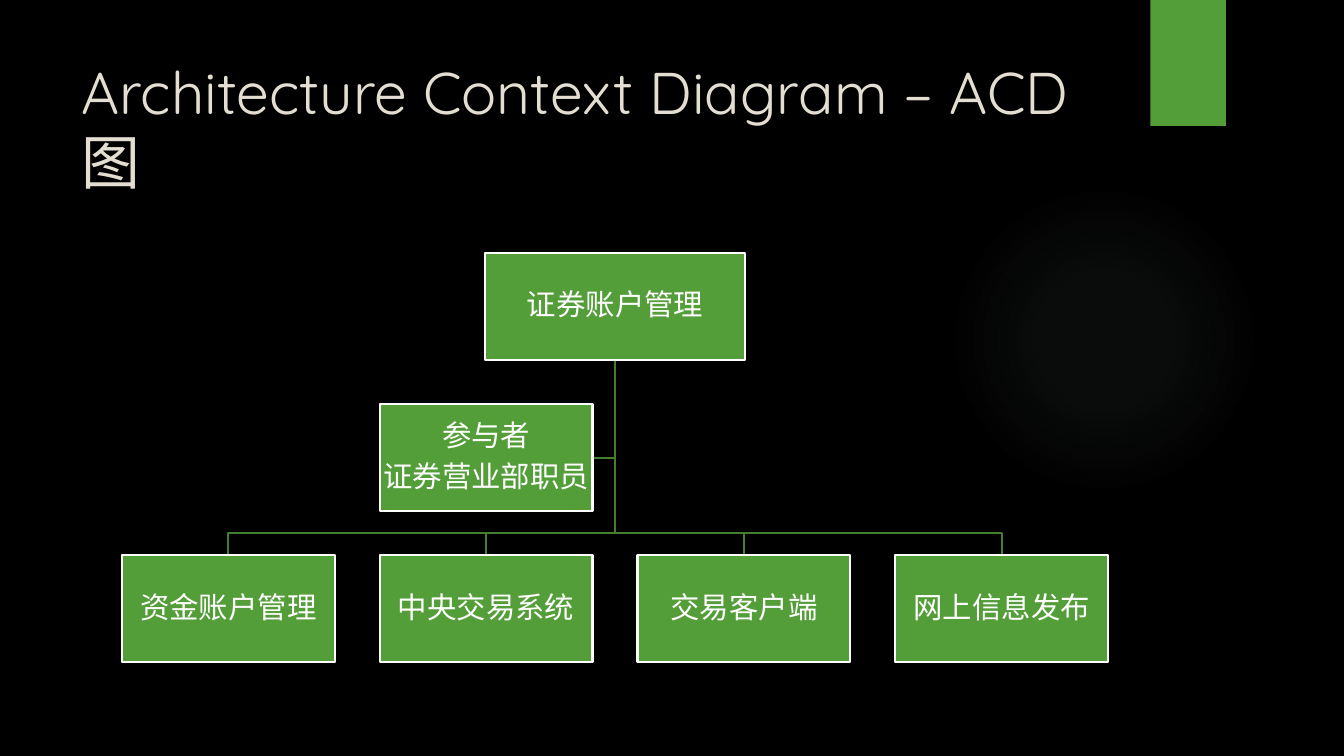
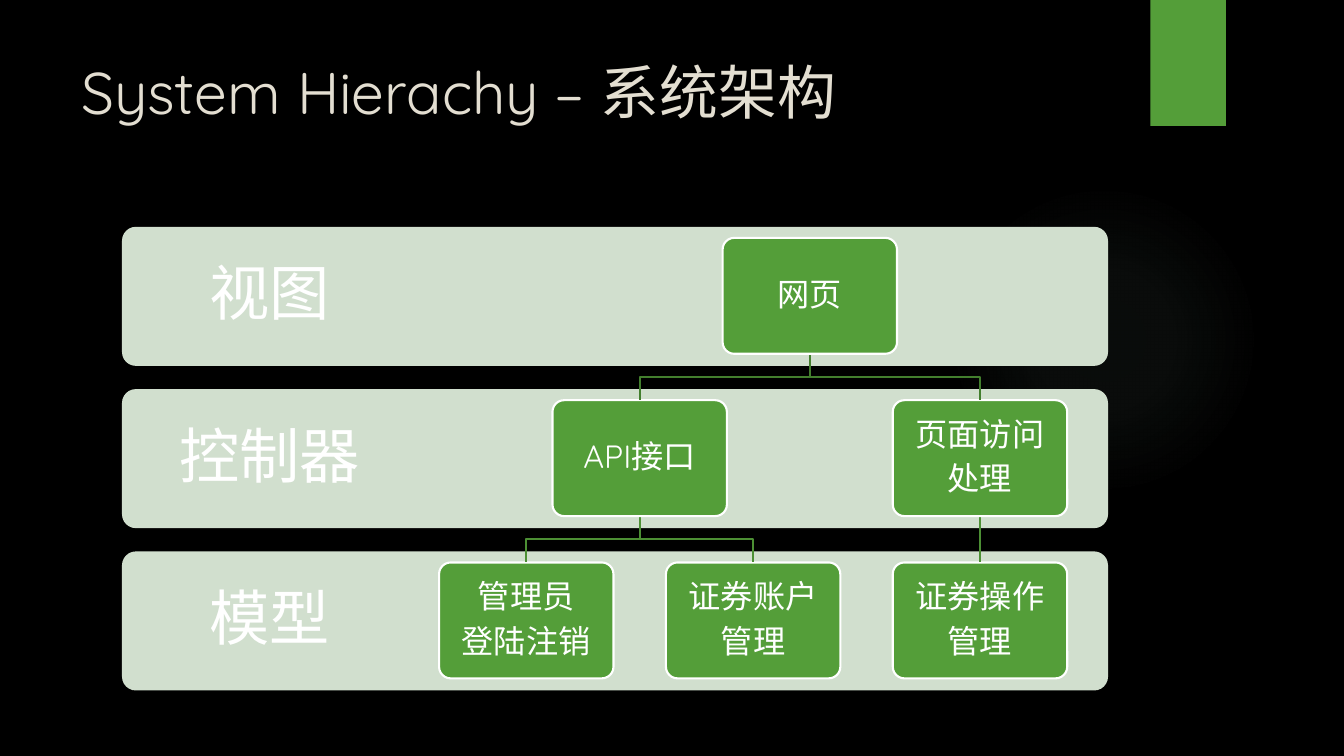
from itertools import pairwise
from pptx import Presentation
from pptx.dml.color import RGBColor
from pptx.enum.shapes import MSO_CONNECTOR, MSO_SHAPE
from pptx.enum.text import MSO_ANCHOR, PP_ALIGN
from pptx.oxml import parse_xml
from pptx.oxml.ns import nsdecls
from pptx.util import Inches, Pt

# Content
CONTEXT_TITLE = "Architecture Context Diagram – ACD图"
CONTEXT_ROOT = "证券账户管理"
CONTEXT_ACTOR = "参与者\n证券营业部职员"
CONTEXT_SYSTEMS = ["资金账户管理", "中央交易系统", "交易客户端", "网上信息发布"]

HIERARCHY_TITLE = "System Hierachy – 系统架构"
LAYERS = ["视图", "控制器", "模型"]
HIERARCHY = ("网页", [
    ("API接口", [("管理员\n登陆注销", []), ("证券账户\n管理", [])]),
    ("页面访问\n处理", [("证券操作\n管理", [])]),
])

# Shared style
FONT = "Quicksand"
COLORS = {
    "background": "000000", "title": "E3DED1", "accent": "549E39",
    "text": "FFFFFF", "band": "D1DFCE", "glow": "87A896",
    "line": "437F2E", "lower_line": "4C8F34",
}
GLOW_STOPS = [(0, 7), (36, 6), (69, 0)]  # position and opacity, percent
LEFT, WIDTH = 1.21, 9.78                 # diagram area, inches


def rgb(name):
    return RGBColor.from_string(COLORS[name])


def box(*lengths):
    return [Inches(length) for length in lengths]


def write(shape, text, size, color="text", inset=0.01):
    """Centred, vertically middled text."""
    frame = shape.text_frame
    frame.word_wrap = True
    frame.vertical_anchor = MSO_ANCHOR.MIDDLE
    frame.margin_left = frame.margin_right = Inches(inset)
    frame.margin_top = frame.margin_bottom = Inches(inset)
    frame.text = text
    for paragraph in frame.paragraphs:
        paragraph.alignment = PP_ALIGN.CENTER
        paragraph.line_spacing = 0.9
        paragraph.space_after = Pt(round(size * 0.3, 1))
        style(paragraph, size, color)


def style(paragraph, size, color):
    font = paragraph.font
    font.name, font.size = FONT, Pt(size)
    font.color.rgb = rgb(color)
    font._element.append(parse_xml(f'<a:ea {nsdecls("a")} typeface="{FONT}"/>'))


def add_block(slide, kind, bounds, fill, outlined=False):
    shape = slide.shapes.add_shape(kind, *box(*bounds))
    shape.shadow.inherit = False
    shape.fill.solid()
    shape.fill.fore_color.rgb = rgb(fill)
    if outlined:
        shape.line.color.rgb = rgb("text")
        shape.line.width = Pt(1.5)
    else:
        shape.line.fill.background()
    if kind == MSO_SHAPE.ROUNDED_RECTANGLE:
        shape.adjustments[0] = 0.1
    return shape


def add_link(slide, points, color="line"):
    """Line through the points; a straight one is a plain connector."""
    if len({x for x, y in points}) == 1:
        link = slide.shapes.add_connector(
            MSO_CONNECTOR.STRAIGHT, *box(*points[0], *points[-1]))
        link._element.spPr.append(parse_xml(f'<a:effectLst {nsdecls("a")}/>'))
    else:
        start, *rest = [box(*point) for point in points]
        builder = slide.shapes.build_freeform(*start)
        builder.add_line_segments(rest, close=False)
        link = builder.convert_to_shape()
        link.shadow.inherit = False
        link.fill.background()
    link.line.color.rgb = rgb(color)
    link.line.width = Pt(1.5)


def elbow(x1, y1, x2, y2, bend):
    return [(x1, y1), (x1, bend), (x2, bend), (x2, y2)]


def add_glow(slide):
    glow = add_block(slide, MSO_SHAPE.OVAL, (9.41, 1.83, 3.08, 3.08), "glow")
    stops = "".join(
        f'<a:gs pos="{position * 1000}"><a:srgbClr val="{COLORS["glow"]}">'
        f'<a:alpha val="{alpha * 1000}"/></a:srgbClr></a:gs>'
        for position, alpha in GLOW_STOPS)
    gradient = parse_xml(
        f'<a:gradFill {nsdecls("a")}><a:gsLst>{stops}</a:gsLst><a:path path="circle">'
        '<a:fillToRect l="50000" t="50000" r="50000" b="50000"/></a:path></a:gradFill>')
    properties = glow._element.spPr
    properties.replace(properties.solidFill, gradient)


def new_slide(presentation, title):
    slide = presentation.slides.add_slide(presentation.slide_layouts[6])
    add_glow(slide)
    add_block(slide, MSO_SHAPE.RECTANGLE, (11.41, 0, 0.75, 1.25), "accent")
    frame = slide.shapes.add_textbox(*box(0.71, 0.5, 10.29, 1.53)).text_frame
    frame.word_wrap = True
    frame.text = title
    style(frame.paragraphs[0], 42, "title")
    return slide


def build_context(presentation):
    slide = new_slide(presentation, CONTEXT_TITLE)
    width, height, root_width = 2.11, 1.06, 2.58
    root_top, actor_top, system_top = [2.51 + 1.5 * row for row in range(3)]
    pitch = (WIDTH - width) / (len(CONTEXT_SYSTEMS) - 1)
    lefts = [LEFT + pitch * column for column in range(len(CONTEXT_SYSTEMS))]
    center, root_bottom = LEFT + WIDTH / 2, root_top + height

    # Links, behind the boxes
    actor_middle = actor_top + height / 2
    add_link(slide, [(center, root_bottom), (center, actor_middle),
                     (lefts[1] + width, actor_middle)])
    for left in lefts:
        add_link(slide, elbow(center, root_bottom, left + width / 2,
                              system_top, system_top - 0.22))

    # Boxes
    nodes = [(CONTEXT_ROOT, center - root_width / 2, root_top, root_width),
             (CONTEXT_ACTOR, lefts[1], actor_top, width)]
    nodes += [(text, left, system_top, width)
              for text, left in zip(CONTEXT_SYSTEMS, lefts)]
    for text, left, top, node_width in nodes:
        node = add_block(slide, MSO_SHAPE.RECTANGLE,
                         (left, top, node_width, height), "accent", True)
        write(node, text, 21)


def build_hierarchy(presentation):
    slide = new_slide(presentation, HIERARCHY_TITLE)
    row_pitch, band_top, band_height = 1.61, 2.25, 1.38
    node_width, node_height, node_top = 1.73, 1.15, 2.36
    leaf_centers = iter([5.22 + 2.25 * column for column in range(3)])

    # Layer bands
    for row, layer in enumerate(LAYERS):
        top = band_top + row_pitch * row
        add_block(slide, MSO_SHAPE.ROUNDED_RECTANGLE,
                  (LEFT, top, WIDTH, band_height), "band")
        label = slide.shapes.add_textbox(
            *box(LEFT, top, WIDTH * 0.3, band_height))
        write(label, layer, 43, inset=0.33)

    # Tree: each parent is centred over its children
    def add_node(text, children, row=0):
        top = node_top + row_pitch * row
        bottom, next_top = top + node_height, top + row_pitch
        centers = [add_node(*child, row + 1) for child in children]
        center = sum(centers) / len(centers) if centers else next(leaf_centers)
        for child_center in centers:
            add_link(slide, elbow(center, bottom, child_center, next_top,
                                  (bottom + next_top) / 2),
                     "lower_line" if row else "line")
        node = add_block(slide, MSO_SHAPE.ROUNDED_RECTANGLE,
                         (center - node_width / 2, top, node_width, node_height),
                         "accent", True)
        write(node, text, 23, inset=0.1)
        return center

    add_node(*HIERARCHY)


def main():
    presentation = Presentation()
    presentation.slide_width, presentation.slide_height = box(13.33, 7.5)
    background = presentation.slide_master.background.fill
    background.solid()
    background.fore_color.rgb = rgb("background")
    build_context(presentation)
    build_hierarchy(presentation)
    presentation.save("out.pptx")


if __name__ == "__main__":
    main()
